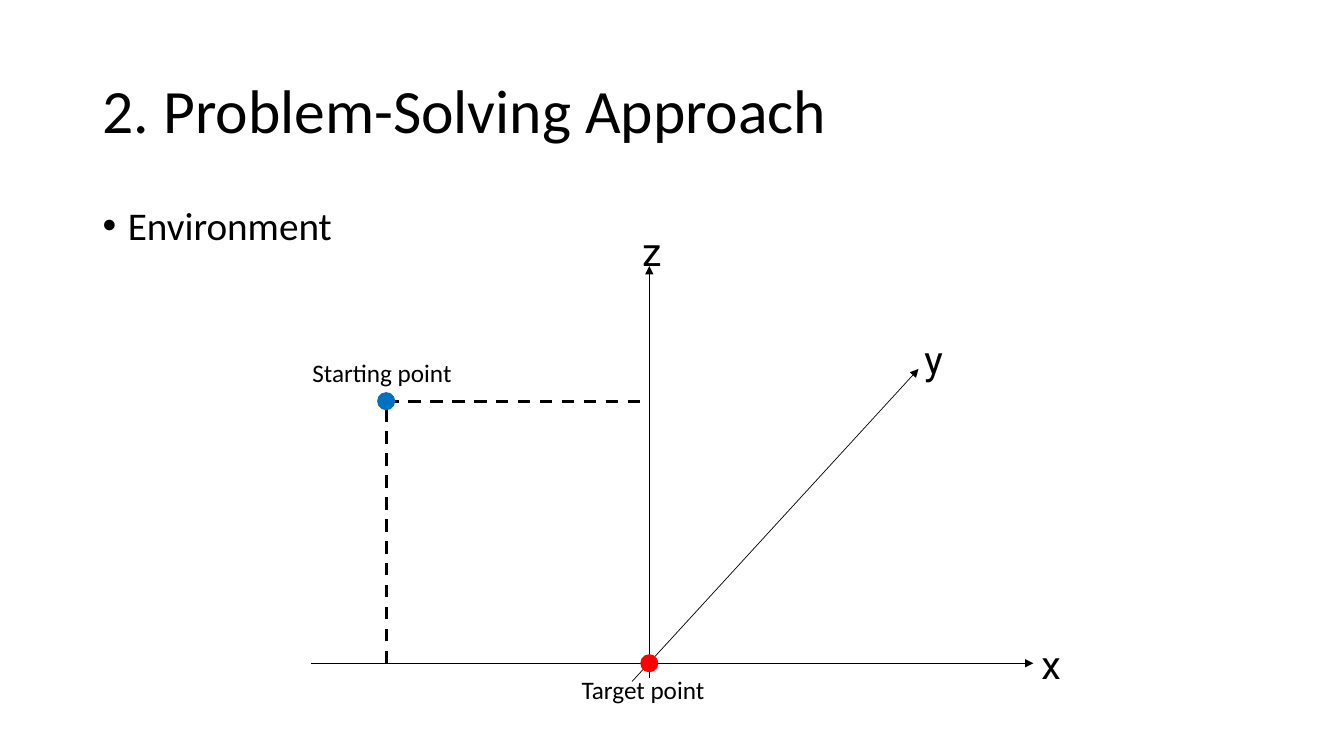
"""Builds the slide with the axes, the starting point and the target point."""
from dataclasses import dataclass

import lxml.etree
import pptx
import pptx.dml.color
import pptx.enum.dml
import pptx.enum.shapes
import pptx.enum.text
import pptx.oxml.ns
import pptx.util

EMU_PER_PX = 9144
BLACK = "000000"
DOT_SIZE = 18
START = (383, 398)
TARGET = (644, 658)


@dataclass
class Label:
    """A short text on one line."""
    text: str
    frame: tuple[int, int, int, int]
    size: int
    font: str


@dataclass
class Line:
    """A straight line, either an axis with an arrowhead or a dashed guide."""
    start: tuple[int, int]
    end: tuple[int, int]
    width: float
    dashed: bool = False


@dataclass
class Dot:
    """A filled round mark."""
    center: tuple[int, int]
    color: str


LINES = [
    Line((308, TARGET[1]), (1025, TARGET[1]), 0.5),
    Line((627, 676), (911, 366), 0.5),
    Line((TARGET[0], 673), (TARGET[0], 264), 0.5),
    Line((START[0], TARGET[1]), START, 2.25, dashed=True),
    Line(START, (TARGET[0], START[1]), 2.25, dashed=True),
]
DOTS = [Dot(START, "0070C0"), Dot(TARGET, "FF0000")]
LABELS = [
    Label("x", (1023, 630, 38, 57), 28, "Roboto"),
    Label("y", (907, 328, 35, 57), 28, "Roboto"),
    Label("z", (627, 221, 34, 57), 28, "Roboto"),
    Label("Starting point", (300, 350, 160, 40), 18, "Calibri"),
    Label("Target point", (567, 664, 143, 40), 18, "Calibri"),
]


def px(length: int) -> pptx.util.Emu:
    """Turn px into EMU."""
    return pptx.util.Emu(length * EMU_PER_PX)


def rgb(color: str) -> pptx.dml.color.RGBColor:
    """Turn a hex string into a colour."""
    return pptx.dml.color.RGBColor.from_string(color)


def add_child(parent, tag: str, **attributes: str):
    """Append a DrawingML element."""
    child = lxml.etree.SubElement(parent, pptx.oxml.ns.qn(tag))
    for name, value in attributes.items():
        child.set(name, value)
    return child


def add_text(page, text: str, frame: tuple[int, int, int, int], *, size: int,
             font: str = "Calibri", wrap: bool = True, middle: bool = False,
             line_spacing: float = 1.0, space_before: int = 0,
             bullet_indent: int = 0) -> None:
    """Add a text box with one paragraph."""
    box = page.shapes.add_textbox(*map(px, frame))
    text_frame = box.text_frame
    text_frame.word_wrap = wrap
    anchors = pptx.enum.text.MSO_ANCHOR
    text_frame.vertical_anchor = anchors.MIDDLE if middle else anchors.TOP
    fits = pptx.enum.text.MSO_AUTO_SIZE
    text_frame.auto_size = fits.NONE if wrap else fits.SHAPE_TO_FIT_TEXT
    para = text_frame.paragraphs[0]
    para.line_spacing = line_spacing
    para.space_before = pptx.util.Pt(space_before)
    if bullet_indent:
        properties = para._p.get_or_add_pPr()
        properties.set("marL", str(px(bullet_indent)))
        properties.set("indent", str(px(-bullet_indent)))
        add_child(properties, "a:buFont", typeface="Arial")
        add_child(properties, "a:buChar", char="•")
    span = para.add_run()
    span.text = text
    span.font.size = pptx.util.Pt(size)
    span.font.name = font
    span.font.color.rgb = rgb(BLACK)


def add_line(page, line: Line) -> None:
    """Draw a dashed guide or an axis."""
    connector = page.shapes.add_connector(
        pptx.enum.shapes.MSO_CONNECTOR.STRAIGHT,
        *map(px, line.start + line.end))
    connector.line.color.rgb = rgb(BLACK)
    connector.line.width = pptx.util.Pt(line.width)
    if line.dashed:
        connector.line.dash_style = pptx.enum.dml.MSO_LINE.DASH
    else:
        add_child(connector.line._get_or_add_ln(), "a:tailEnd", type="triangle")
    add_child(connector._element.spPr, "a:effectLst")


def add_dot(page, dot: Dot) -> None:
    """Draw a round mark about its centre."""
    left, top = (place - DOT_SIZE // 2 for place in dot.center)
    shape = page.shapes.add_shape(
        pptx.enum.shapes.MSO_SHAPE.OVAL,
        px(left), px(top), px(DOT_SIZE), px(DOT_SIZE))
    shape.shadow.inherit = False
    shape.fill.solid()
    shape.fill.fore_color.rgb = rgb(dot.color)
    shape.line.fill.background()


def main() -> None:
    """Build and save the deck."""
    deck = pptx.Presentation()
    deck.slide_width, deck.slide_height = px(1333), px(750)
    page = deck.slides.add_slide(deck.slide_layouts[6])
    add_text(page, "2. Problem-Solving Approach", (92, 40, 1150, 145),
             size=44, middle=True, line_spacing=0.9)
    add_text(page, "Environment", (92, 200, 1150, 476), size=28,
             line_spacing=0.9, space_before=10, bullet_indent=25)
    for line in LINES:
        add_line(page, line)
    for dot in DOTS:
        add_dot(page, dot)
    for label in LABELS:
        add_text(page, label.text, label.frame, size=label.size,
                 font=label.font, wrap=False)
    deck.save("out.pptx")


if __name__ == "__main__":
    main()
